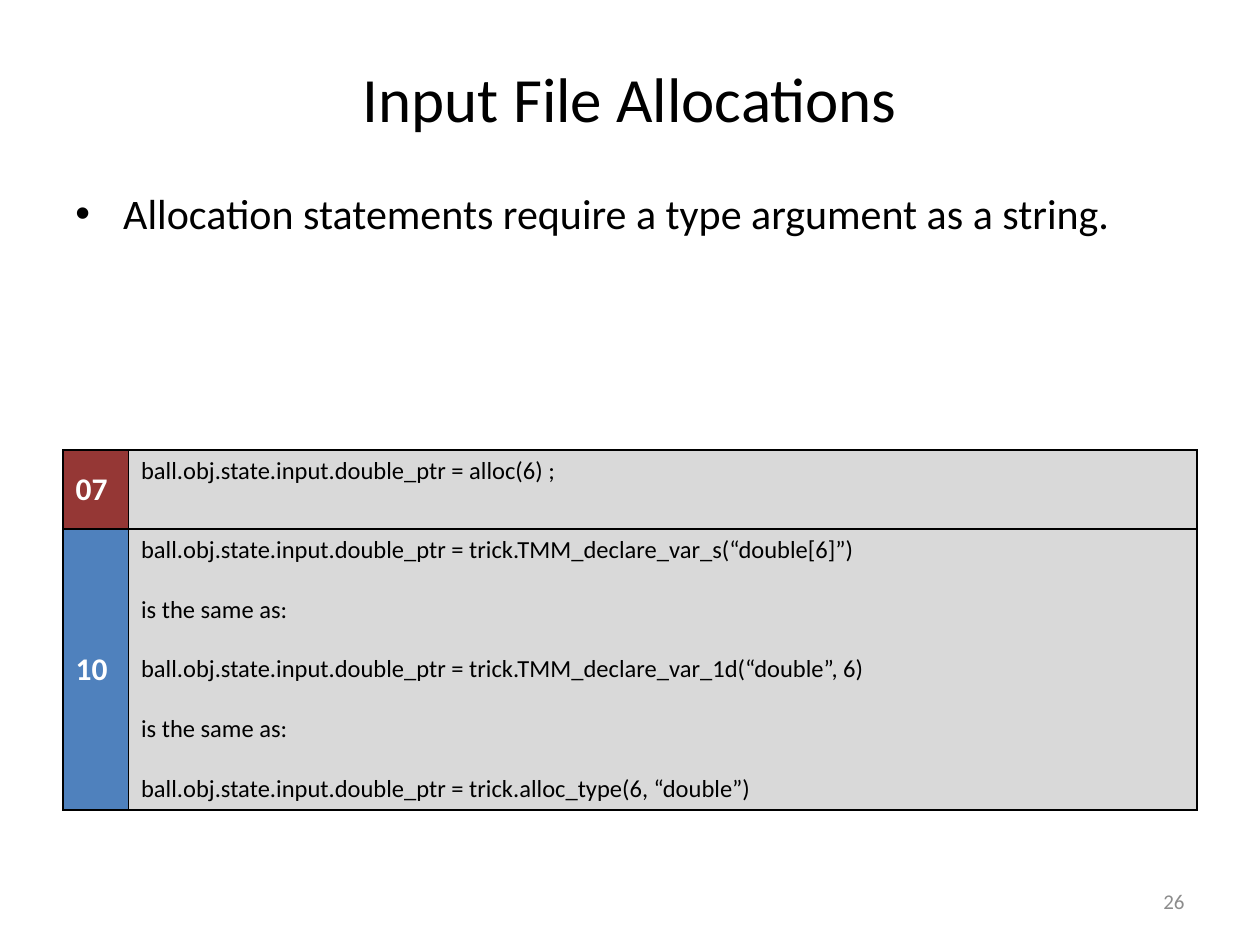
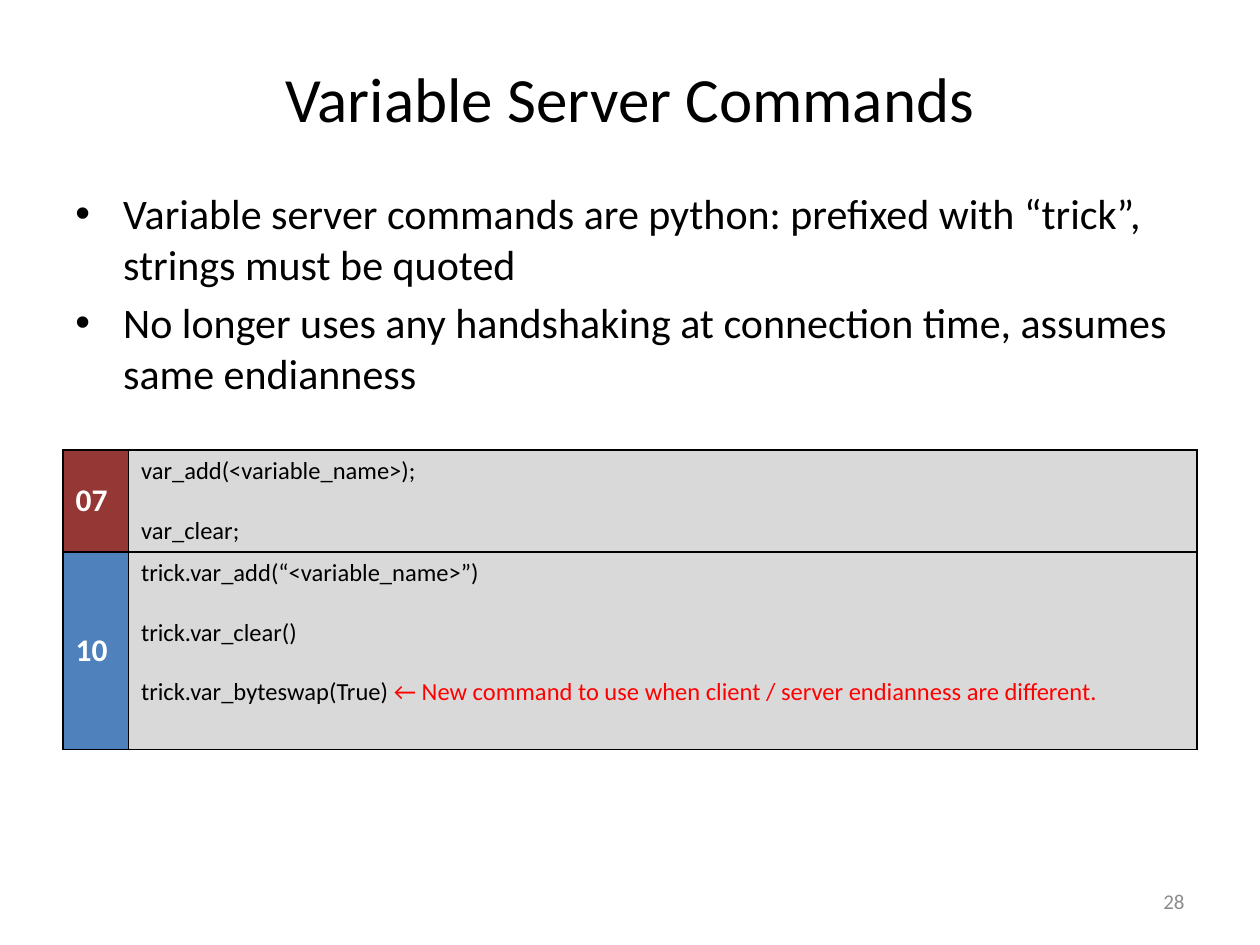
from lxml import etree
from pptx import Presentation
from pptx import util as u
from pptx.dml.color import RGBColor
from pptx.enum import text
from pptx.oxml.ns import qn

# Content: each code line is a list of (words, colour) spans
BLACK = RGBColor(0x00, 0x00, 0x00)
WHITE = RGBColor(0xFF, 0xFF, 0xFF)
RED = RGBColor(0xFF, 0x00, 0x00)
GRAY = RGBColor(0x8C, 0x8C, 0x8C)
CODE_FILL = RGBColor(0xD9, 0xD9, 0xD9)
VERSION_FILLS = {"07": RGBColor(0x95, 0x37, 0x35),
                 "10": RGBColor(0x4F, 0x81, 0xBD)}
FONT = "Calibri"

SLIDES = [
    {"title": "Input File Allocations",
     "number": "26",
     "bullets": ["Allocation statements require a type argument as a string."],
     "versions": [
         ("07", 0.63, ["ball.obj.state.input.double_ptr = alloc(6) ;"]),
         ("10", 2.23, [
             "ball.obj.state.input.double_ptr = trick.TMM_declare_var_s(“double[6]”)",
             "is the same as:",
             "ball.obj.state.input.double_ptr = trick.TMM_declare_var_1d(“double”, 6)",
             "is the same as:",
             "ball.obj.state.input.double_ptr = trick.alloc_type(6, “double”)"])]},
    {"title": "Variable Server Commands",
     "number": "28",
     "bullets": [
         "Variable server commands are python: prefixed with “trick”, "
         "strings must be quoted",
         "No longer uses any handshaking at connection time, "
         "assumes same endianness"],
     "versions": [
         ("07", 0.81, ["var_add(<variable_name>);", "var_clear;"]),
         ("10", 1.57, [
             "trick.var_add(“<variable_name>”)",
             "trick.var_clear()",
             [("trick.var_byteswap(True) ", BLACK),
              ("← New command to use when client / server endianness "
               "are different.", RED)]])]},
]

# Layout, in inches
WIDTH, HEIGHT = 10, 7.5
MARGIN = WIDTH * 0.05
CONTENT = WIDTH - 2 * MARGIN
TITLE_TOP, TITLE_HEIGHT = HEIGHT * 0.04, 0.95
BODY_TOP, BODY_HEIGHT = 1.44, 5.26
TABLE_TOP = 3.57
VERSION_WIDTH = 0.52
NUMBER_TOP, NUMBER_WIDTH, NUMBER_HEIGHT = 6.95, CONTENT * 0.26, 0.4
INDENT = 0.38
CODE_SIZE, CODE_GAP = 14, 17


def write(frame, lines, size=14, color=BLACK, bold=False, align=text.PP_ALIGN.LEFT,
          anchor=text.MSO_ANCHOR.TOP, bullet=False, before=0, gap=0):
    """Fill a text frame; gap is the space between paragraphs, in points."""
    frame.word_wrap = True
    frame.vertical_anchor = anchor
    for index, line in enumerate(lines):
        para = frame.add_paragraph() if index else frame.paragraphs[0]
        para.alignment = align
        para.space_before = u.Pt(gap if index else before)
        if bullet:
            add_bullet(para)
        spans = [(line, color)] if isinstance(line, str) else line
        for words, span_color in spans:
            span = para.add_run()
            span.text = words
            font = span.font
            font.name, font.size, font.bold = FONT, u.Pt(size), bold
            font.color.rgb = span_color


def add_bullet(para):
    props = para._p.get_or_add_pPr()
    props.set("marL", str(u.Inches(INDENT)))
    props.set("indent", str(-u.Inches(INDENT)))
    etree.SubElement(props, qn("a:buFont")).set("typeface", "Arial")
    etree.SubElement(props, qn("a:buChar")).set("char", "•")


def add_text(page, left, top, width, height, lines, **style):
    box = page.shapes.add_textbox(*map(u.Inches, (left, top, width, height)))
    write(box.text_frame, lines, **style)


def paint_cell(cell, fill):
    """Black hairline on every side, then a flat fill."""
    props = cell._tc.get_or_add_tcPr()
    for side in ("lnL", "lnR", "lnT", "lnB"):
        line = etree.SubElement(props, qn("a:" + side), w=str(u.Pt(1)))
        solid = etree.SubElement(line, qn("a:solidFill"))
        etree.SubElement(solid, qn("a:srgbClr"), val=str(BLACK))
    cell.fill.solid()
    cell.fill.fore_color.rgb = fill


def add_versions(page, versions):
    """Compare the syntax of each version, one table row apiece."""
    total = sum(height for _, height, _ in versions)
    table = page.shapes.add_table(
        len(versions), 2,
        *map(u.Inches, (MARGIN, TABLE_TOP, CONTENT, total))).table
    table.first_row = table.horz_banding = False
    table.columns[0].width = u.Inches(VERSION_WIDTH)
    table.columns[1].width = u.Inches(CONTENT - VERSION_WIDTH)
    for row, (version, height, code) in enumerate(versions):
        table.rows[row].height = u.Inches(height)
        label, sample = table.cell(row, 0), table.cell(row, 1)
        paint_cell(label, VERSION_FILLS[version])
        paint_cell(sample, CODE_FILL)
        label.vertical_anchor = text.MSO_ANCHOR.MIDDLE
        write(label.text_frame, [version], size=18, color=WHITE, bold=True,
              anchor=text.MSO_ANCHOR.MIDDLE)
        write(sample.text_frame, code, size=CODE_SIZE, gap=CODE_GAP)


deck = Presentation()
deck.slide_width, deck.slide_height = u.Inches(WIDTH), u.Inches(HEIGHT)
for content in SLIDES:
    page = deck.slides.add_slide(deck.slide_layouts[6])
    # Title
    add_text(page, MARGIN, TITLE_TOP, CONTENT, TITLE_HEIGHT, [content["title"]],
             size=36, align=text.PP_ALIGN.CENTER, anchor=text.MSO_ANCHOR.MIDDLE)
    # Bullets
    add_text(page, MARGIN, BODY_TOP, CONTENT, BODY_HEIGHT, content["bullets"],
             size=24, bullet=True, before=4.8, gap=4.8)
    # Page number
    add_text(page, WIDTH - MARGIN - NUMBER_WIDTH, NUMBER_TOP, NUMBER_WIDTH,
             NUMBER_HEIGHT, [content["number"]], size=12, color=GRAY,
             align=text.PP_ALIGN.RIGHT, anchor=text.MSO_ANCHOR.MIDDLE)
    # Version comparison
    add_versions(page, content["versions"])

deck.save("out.pptx")
